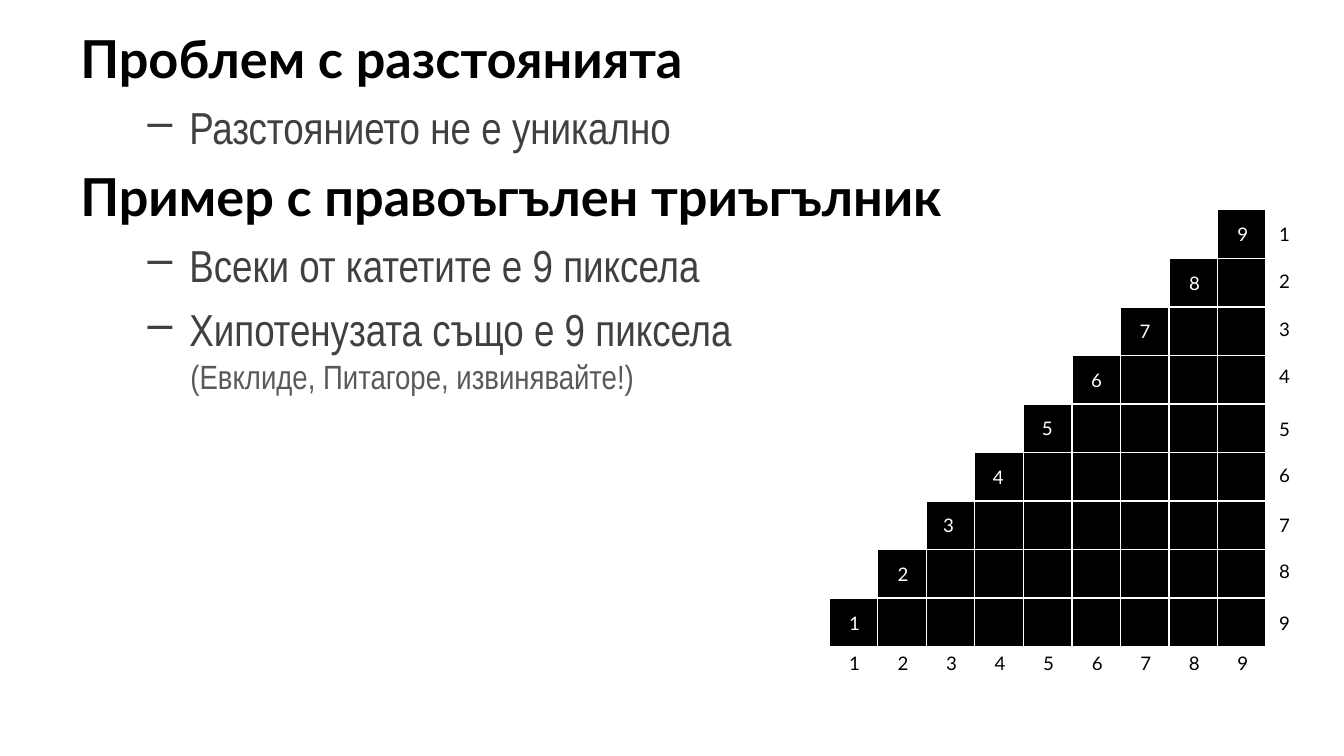
from dataclasses import dataclass

from lxml.etree import SubElement
from pptx import Presentation
from pptx.dml.color import RGBColor as Rgb
from pptx.enum.shapes import MSO_SHAPE as Shape
from pptx.enum.text import MSO_AUTO_SIZE as Fit
from pptx.oxml.ns import qn
from pptx.util import Emu, Pt

SCALE = 2540
HUES = {"black": "000000", "white": "FFFFFF", "dark": "404040", "gray": "595959"}
COUNT = 9
CELL = 130
LEFT, TOP = 2221, 562
INSET = 18
DROPS = (18, 14, 13, 9, 20, 12, 17, 11, 18)
SHIFTS = (0, 0, -8, -5, -4, -2, -2, 1, 0)


@dataclass(frozen=True)
class Style:
    font: str
    size: int
    hue: str
    bold: bool = False
    level: int = 0
    margin: int = 0
    indent: int = 0
    before: float = 0
    bullet: str = ""


@dataclass(frozen=True)
class Line:
    text: str
    style: Style


@dataclass(frozen=True)
class Label:
    text: str
    x: int
    y: int
    hue: str


HEAD = Style("Lato", 28, "black", True, 0, 137, -137, 5.6)
ITEM = Style("Arial Narrow", 24, "dark", False, 1, 292, -112, 5.6, "–")
NOTE = Style("Arial Narrow", 18, "gray", False, 2, 295)

LINES = (
    Line("Проблем с разстоянията", HEAD),
    Line("Разстоянието не е уникално", ITEM),
    Line("Пример с правоъгълен триъгълник", HEAD),
    Line("Всеки от катетите е 9 пиксела", ITEM),
    Line("Хипотенузата също е 9 пиксела", ITEM),
    Line("(Евклиде, Питагоре, извинявайте!)", NOTE),
)


def px(size: int) -> Emu:
    return Emu(size * SCALE)


def color(name: str) -> Rgb:
    return Rgb.from_string(HUES[name])


def add_run(para, text: str, style: Style) -> None:
    run = para.add_run()
    run.text = text
    run.font.name = style.font
    run.font.size = Pt(style.size)
    run.font.bold = style.bold
    run.font.color.rgb = color(style.hue)


def add_body(slide, lines: tuple[Line, ...]) -> None:
    frame = slide.shapes.add_textbox(px(180), px(54), px(3420), px(1861)).text_frame
    frame.word_wrap = True
    for i, line in enumerate(lines):
        style = line.style
        para = frame.add_paragraph() if i else frame.paragraphs[0]
        para.level = style.level
        props = para._p.get_or_add_pPr()
        props.set("marL", str(px(style.margin)))
        props.set("indent", str(px(style.indent)))
        if style.bullet:
            SubElement(props, qn("a:buChar")).set("char", style.bullet)
        else:
            SubElement(props, qn("a:buNone"))
        para.space_before = Pt(style.before if i else 0)
        add_run(para, line.text, style)


def add_cell(group, col: int, row: int) -> None:
    cell = group.shapes.add_shape(
        Shape.RECTANGLE, px(LEFT + col * CELL), px(TOP + row * CELL), px(CELL), px(CELL)
    )
    cell.shadow.inherit = False
    cell.fill.solid()
    cell.fill.fore_color.rgb = color("black")
    cell.line.color.rgb = color("white")
    cell.line.width = Pt(0.75)


def add_label(slide, label: Label) -> None:
    frame = slide.shapes.add_textbox(px(label.x), px(label.y), px(99), px(97)).text_frame
    frame.word_wrap = False
    frame.auto_size = Fit.SHAPE_TO_FIT_TEXT
    add_run(frame.paragraphs[0], label.text, Style("Lato", 10, label.hue))


def main() -> None:
    deck = Presentation()
    deck.slide_width, deck.slide_height = px(3600), px(2025)
    slide = deck.slides.add_slide(deck.slide_layouts[6])
    add_body(slide, LINES)

    group = slide.shapes.add_group_shape()
    for col in range(COUNT):
        for row in range(COUNT - 1 - col, COUNT):
            add_cell(group, col, row)

    end = LEFT + COUNT * CELL
    for i, (drop, shift) in enumerate(zip(DROPS, SHIFTS)):
        text = str(i + 1)
        x = LEFT + i * CELL + INSET
        rise = TOP + (COUNT - 1 - i) * CELL + INSET
        add_label(slide, Label(text, end, TOP + i * CELL + drop, "black"))
        add_label(slide, Label(text, x, 1728, "black"))
        add_label(slide, Label(text, x + shift, rise, "white"))

    deck.save("out.pptx")


if __name__ == "__main__":
    main()
